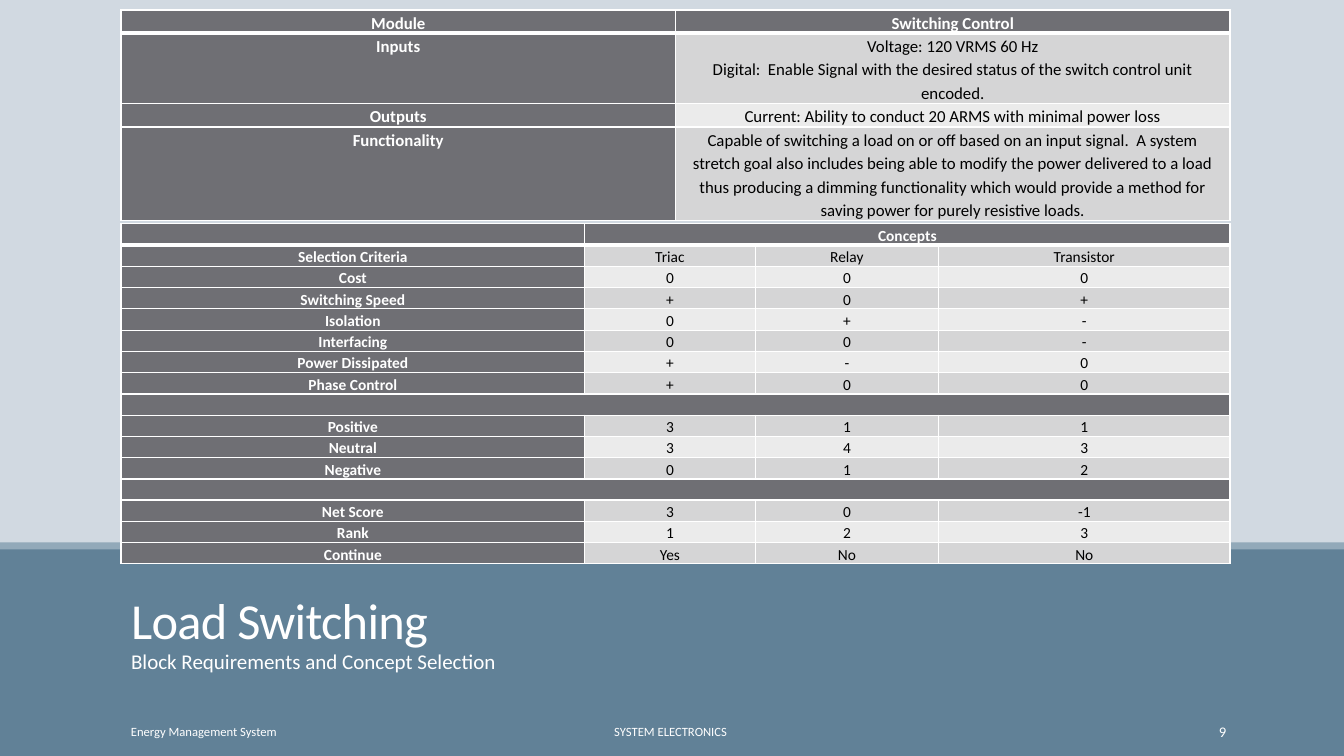
from dataclasses import dataclass
from typing import Any

from lxml.etree import SubElement, Element
from pptx import Presentation
from pptx.dml.color import RGBColor
from pptx.enum.shapes import MSO_SHAPE as Preset
from pptx.enum.text import MSO_ANCHOR as Anchor, MSO_AUTO_SIZE as AutoSize, PP_ALIGN as Align
from pptx.oxml.ns import qn
from pptx.slide import Slide
from pptx.table import _Cell as Cell
from pptx.util import Inches, Pt

WHITE = RGBColor(0xFF, 0xFF, 0xFF)
BLACK = RGBColor(0x00, 0x00, 0x00)
SKY = RGBColor(0xD1, 0xD9, 0xE1)
BLUE = RGBColor(0x61, 0x81, 0x97)
EDGE_BLUE = RGBColor(0x92, 0xA9, 0xB9)
HEADER_GREY = RGBColor(0x6F, 0x6F, 0x74)
DARK_BAND = RGBColor(0xD5, 0xD5, 0xD6)
LIGHT_BAND = RGBColor(0xEB, 0xEB, 0xEB)
FONT = "Calibri"
LEFT = 1.2


@dataclass(frozen=True)
class Band:
    top: float
    height: float
    color: RGBColor


@dataclass(frozen=True)
class Caption:
    text: str
    left: float
    width: float
    size: float
    align: Align


@dataclass(frozen=True)
class Grid:
    top: float
    columns: list[float]
    heights: list[float]
    rows: list[list[str]]
    size: float
    anchor: Anchor
    merges: list[tuple[int, int, int]]


BANDS = [Band(5.42, 2.08, BLUE), Band(5.38, 0.07, EDGE_BLUE)]

CAPTIONS = [
    Caption("Energy Management System", LEFT, 2.7, 9, Align.LEFT),
    Caption("SYSTEM ELECTRONICS ", 4.03, 5.27, 9, Align.CENTER),
    Caption("9", 10.83, 1.43, 10.5, Align.RIGHT),
]

REQUIREMENTS = Grid(
    0.1, [5.5, 5.5], [0.23, 0.7, 0.23, 0.93],
    [
        ["Module", "Switching Control"],
        ["Inputs", "Voltage: 120 VRMS 60 Hz\nDigital:  Enable Signal with the desired status "
                   "of the switch control unit encoded."],
        ["Outputs", "Current: Ability to conduct 20 ARMS with minimal power loss"],
        ["Functionality", "Capable of switching a load on or off based on an input signal.  "
                          "A system stretch goal also includes being able to modify the power "
                          "delivered to a load thus producing a dimming functionality which would "
                          "provide a method for saving power for purely resistive loads."],
    ],
    12, Anchor.TOP, [],
)

CONCEPTS = Grid(
    2.22, [4.6, 1.69, 1.82, 2.89], [0.21] * 16,
    [
        ["", "Concepts", "", ""],
        ["Selection Criteria", "Triac", "Relay", "Transistor"],
        ["Cost", "0", "0", "0"],
        ["Switching Speed", "+", "0", "+"],
        ["Isolation", "0", "+", "-"],
        ["Interfacing", "0", "0", "-"],
        ["Power Dissipated", "+", "-", "0"],
        ["Phase Control", "+", "0", "0"],
        ["", "", "", ""],
        ["Positive", "3", "1", "1"],
        ["Neutral", "3", "4", "3"],
        ["Negative", "0", "1", "2"],
        ["", "", "", ""],
        ["Net Score", "3", "0", "-1"],
        ["Rank", "1", "2", "3"],
        ["Continue", "Yes", "No", "No"],
    ],
    11, Anchor.BOTTOM, [(0, 1, 3), (8, 0, 3), (12, 0, 3)],
)


def apply(target: Any, formats: dict[str, Any]) -> None:
    for attribute, value in formats.items():
        setattr(target, attribute, value)


def format_font(font: Any, size: float, color: RGBColor, bold: bool = False) -> None:
    apply(font, {"name": FONT, "size": Pt(size), "bold": bold})
    font.color.rgb = color


def draw_band(slide: Slide, band: Band, depth: int) -> None:
    stripe = slide.shapes.add_shape(
        Preset.RECTANGLE, 0, Inches(band.top), Inches(13.33), Inches(band.height))
    stripe.shadow.inherit = False
    stripe.fill.solid()
    stripe.fill.fore_color.rgb = band.color
    stripe.line.fill.background()
    slide.shapes._spTree.insert(2 + depth, stripe._element)


def fill_heading(heading: Any, text: str, top: float, height: float, size: float,
                 anchor: Anchor, spacing: dict[str, Any]) -> None:
    apply(heading, {"left": Inches(LEFT), "top": Inches(top),
                    "width": Inches(11.06), "height": Inches(height)})
    frame = heading.text_frame
    frame.text = text
    apply(frame, {"auto_size": AutoSize.NONE, "vertical_anchor": anchor, "word_wrap": True,
                  "margin_left": Inches(0.1), "margin_right": Inches(0.1),
                  "margin_top": 0, "margin_bottom": 0})
    line = frame.paragraphs[0]
    apply(line, {"alignment": Align.LEFT, "space_before": Pt(0), **spacing})
    format_font(line.runs[0].font, size, WHITE)


def draw_caption(slide: Slide, caption: Caption) -> None:
    box = slide.shapes.add_textbox(
        Inches(caption.left), Inches(7.06), Inches(caption.width), Inches(0.4))
    frame = box.text_frame
    frame.text = caption.text
    apply(frame, {"word_wrap": True, "vertical_anchor": Anchor.MIDDLE})
    line = frame.paragraphs[0]
    line.alignment = caption.align
    format_font(line.runs[0].font, caption.size, WHITE)


def draw_borders(cell: Cell, row: int) -> None:
    widths = {"lnL": 1, "lnR": 1, "lnT": 3 if row == 1 else 1, "lnB": 3 if row == 0 else 1}
    properties = cell._tc.get_or_add_tcPr()
    for position, (side, width) in enumerate(widths.items()):
        border = Element(qn(f"a:{side}"), w=str(Pt(width)))
        SubElement(SubElement(border, qn("a:solidFill")), qn("a:srgbClr"), val=str(WHITE))
        properties.insert(position, border)


def fill_cell(cell: Cell, text: str, row: int, is_header: bool, grid: Grid) -> None:
    apply(cell, {"text": text, "vertical_anchor": grid.anchor,
                 "margin_left": Inches(0.07), "margin_right": Inches(0.07),
                 "margin_top": 0, "margin_bottom": 0})
    cell.fill.solid()
    band = DARK_BAND if row % 2 else LIGHT_BAND
    cell.fill.fore_color.rgb = HEADER_GREY if is_header else band
    draw_borders(cell, row)
    for line in cell.text_frame.paragraphs:
        apply(line, {"alignment": Align.CENTER, "line_spacing": 1.15})
        for run in line.runs:
            format_font(run.font, grid.size, WHITE if is_header else BLACK, is_header)
        if not line.runs:
            SubElement(line._p, qn("a:endParaRPr"), sz=str(int(grid.size * 100)))


def draw_grid(slide: Slide, grid: Grid) -> None:
    table = slide.shapes.add_table(
        len(grid.rows), len(grid.columns), Inches(LEFT), Inches(grid.top),
        Inches(sum(grid.columns)), Inches(sum(grid.heights))).table
    for column, width in zip(table.columns, grid.columns):
        column.width = Inches(width)
    for row, (texts, height) in enumerate(zip(grid.rows, grid.heights)):
        table.rows[row].height = Inches(height)
        for column, text in enumerate(texts):
            is_header = row == 0 or column == 0 or not any(texts)
            fill_cell(table.cell(row, column), text, row, is_header, grid)
    for row, first, last in grid.merges:
        table.cell(row, first).merge(table.cell(row, last))


def main() -> None:
    deck = Presentation()
    apply(deck, {"slide_width": Inches(13.33), "slide_height": Inches(7.5)})
    slide = deck.slides.add_slide(deck.slide_layouts[2])
    slide.background.fill.solid()
    slide.background.fill.fore_color.rgb = SKY
    for depth, band in enumerate(BANDS):
        draw_band(slide, band, depth)
    title, subtitle = slide.shapes.title, slide.placeholders[1]
    fill_heading(title, "Load Switching", 5.55, 0.9, 36, Anchor.BOTTOM, {"line_spacing": 0.85})
    title_properties = title.text_frame.paragraphs[0].runs[0].font._element
    for attribute, value in {"cap": "none", "spc": "-50"}.items():
        title_properties.set(attribute, value)
    fill_heading(subtitle, "Block Requirements and Concept Selection", 6.46, 0.65, 15,
                 Anchor.TOP, {"line_spacing": 0.9, "space_after": Pt(6)})
    for caption in CAPTIONS:
        draw_caption(slide, caption)
    for grid in (REQUIREMENTS, CONCEPTS):
        draw_grid(slide, grid)
    deck.save("out.pptx")


if __name__ == "__main__":
    main()
